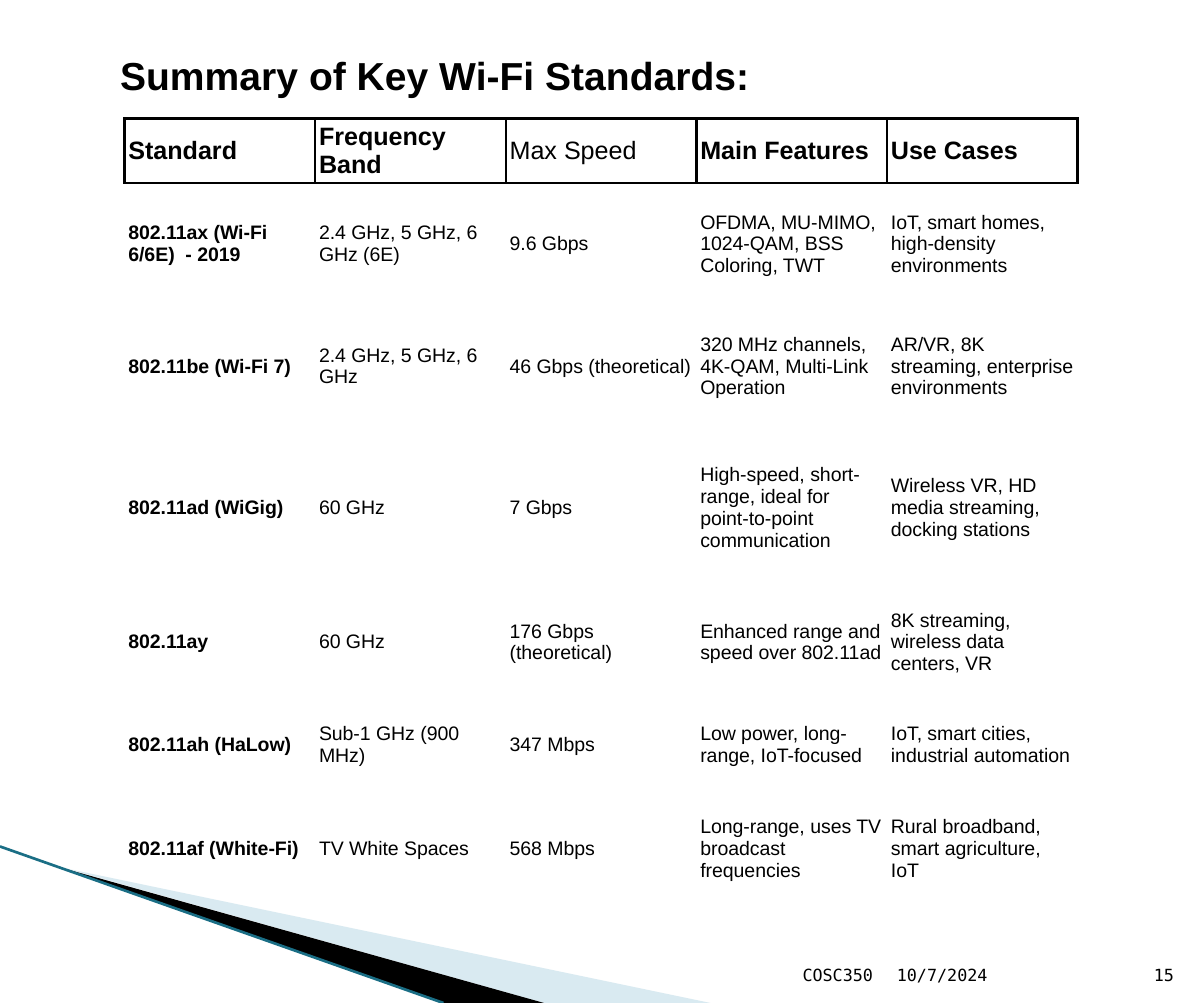
"""Builds the slide that summarises the key Wi-Fi standards."""
from dataclasses import dataclass

from lxml import etree
from pptx import Presentation
from pptx.dml.color import RGBColor
from pptx.enum.shapes import MSO_CONNECTOR
from pptx.enum.text import MSO_ANCHOR, PP_ALIGN
from pptx.oxml.ns import qn
from pptx.util import Inches, Pt

STRAIGHT = MSO_CONNECTOR.STRAIGHT
MIDDLE, BOTTOM = MSO_ANCHOR.MIDDLE, MSO_ANCHOR.BOTTOM
LEFT, RIGHT = PP_ALIGN.LEFT, PP_ALIGN.RIGHT


@dataclass(frozen=True)
class Theme:
    ink: str = "000000"
    pale: str = "A0CBDC"
    teal: str = "1A6E85"
    sans: str = "Arial"
    mono: str = "DejaVu Sans Mono"
    title: float = 14
    header: float = 9
    body: float = 7
    footer: float = 6
    rule: float = 1
    stripe: float = 0.95


class Deck:
    """Draws on a slide divided into 60 columns and 50 rows."""

    COLUMNS, ROWS = 60, 50

    def __init__(self, theme):
        self.theme = theme
        self.file = Presentation()
        self.file.slide_width, self.file.slide_height = Inches(6), Inches(5)
        self.slide = self.file.slides.add_slide(self.file.slide_layouts[6])
        self.shapes = self.slide.shapes

    def x(self, columns):
        return round(self.file.slide_width * columns / self.COLUMNS)

    def y(self, rows):
        return round(self.file.slide_height * rows / self.ROWS)

    def style(self, paragraph, size, font, bold=False, align=LEFT):
        paragraph.alignment = align
        for run in paragraph.runs:
            run.font.size, run.font.name, run.font.bold = Pt(size), font, bold
            run.font.color.rgb = RGBColor.from_string(self.theme.ink)

    def text(self, wording, left, top, width, height, size, font,
             bold=False, align=LEFT, anchor=MIDDLE, inset=(1, 0.5)):
        frame = self.shapes.add_textbox(
            self.x(left), self.y(top), self.x(width), self.y(height)).text_frame
        frame.word_wrap, frame.vertical_anchor = True, anchor
        frame.margin_left = frame.margin_right = self.x(inset[0])
        frame.margin_top = frame.margin_bottom = self.y(inset[1])
        frame.text = wording
        self.style(frame.paragraphs[0], size, font, bold, align)

    def wedge(self, corners, color, opacity=100):
        start, *others = [(self.x(col), self.y(row)) for col, row in corners]
        builder = self.shapes.build_freeform(*start)
        builder.add_line_segments(others, close=True)
        wedge = builder.convert_to_shape()
        wedge.shadow.inherit = False
        wedge.line.fill.background()
        wedge.fill.solid()
        wedge.fill.fore_color.rgb = RGBColor.from_string(color)
        if opacity < 100:
            tint = wedge.fill._xPr.find(f".//{qn('a:srgbClr')}")
            etree.SubElement(tint, qn("a:alpha"), val=str(opacity * 1000))

    def stripe(self, start, end, color, width):
        stripe = self.shapes.add_connector(
            STRAIGHT, self.x(start[0]), self.y(start[1]),
            self.x(end[0]), self.y(end[1]))
        stripe.line.color.rgb = RGBColor.from_string(color)
        stripe.line.width = Pt(width)
        etree.SubElement(stripe._element.spPr, qn("a:effectLst"))

    def borders(self, cell, ruled):
        properties = cell._tc.get_or_add_tcPr()
        for place, side in enumerate("LRTB"):
            edge = etree.Element(qn(f"a:ln{side}"), w=str(Pt(self.theme.rule)))
            if side in ruled:
                fill = etree.SubElement(edge, qn("a:solidFill"))
                etree.SubElement(fill, qn("a:srgbClr"), val=self.theme.ink)
            else:
                etree.SubElement(edge, qn("a:noFill"))
            properties.insert(place, edge)

    def cell(self, cell, wording, size, bold, ruled):
        cell.fill.background()
        cell.vertical_anchor = MIDDLE
        cell.margin_left = cell.margin_right = self.x(0.2)
        cell.margin_top = cell.margin_bottom = self.y(0.1)
        cell.text = wording
        self.style(cell.text_frame.paragraphs[0], size, self.theme.sans, bold)
        self.borders(cell, ruled)

    def table(self, records, left, top, column, heights):
        count = len(records[0])
        table = self.shapes.add_table(
            len(records), count, self.x(left), self.y(top),
            self.x(column * count), self.y(sum(heights))).table
        table.first_row = table.horz_banding = False
        for grid_column in table.columns:
            grid_column.width = self.x(column)
        for r, (record, height) in enumerate(zip(records, heights)):
            table.rows[r].height = self.y(height)
            size = self.theme.body if r else self.theme.header
            ruled = {0: "LRTB", 1: "T"}.get(r, "")
            for c, wording in enumerate(record):
                bold = c == 0 or (r == 0 and wording != "Max Speed")
                self.cell(table.cell(r, c), wording, size, bold, ruled)


STANDARDS = [
    ("Standard", "Frequency Band", "Max Speed", "Main Features", "Use Cases"),
    ("802.11ax (Wi-Fi 6/6E)  - 2019", "2.4 GHz, 5 GHz, 6 GHz (6E)", "9.6 Gbps",
     "OFDMA, MU-MIMO, 1024-QAM, BSS Coloring, TWT",
     "IoT, smart homes, high-density environments"),
    ("802.11be (Wi-Fi 7)", "2.4 GHz, 5 GHz, 6 GHz", "46 Gbps (theoretical)",
     "320 MHz channels, 4K-QAM, Multi-Link Operation",
     "AR/VR, 8K streaming, enterprise environments"),
    ("802.11ad (WiGig)", "60 GHz", "7 Gbps",
     "High-speed, short-range, ideal for point-to-point communication",
     "Wireless VR, HD media streaming, docking stations"),
    ("802.11ay", "60 GHz", "176 Gbps (theoretical)",
     "Enhanced range and speed over 802.11ad",
     "8K streaming, wireless data centers, VR"),
    ("802.11ah (HaLow)", "Sub-1 GHz (900 MHz)", "347 Mbps",
     "Low power, long-range, IoT-focused",
     "IoT, smart cities, industrial automation"),
    ("802.11af (White-Fi)", "TV White Spaces", "568 Mbps",
     "Long-range, uses TV broadcast frequencies",
     "Rural broadband, smart agriculture, IoT"),
]
HEIGHTS = [3, 6.1, 6.1, 8, 5.4, 4.8, 5.6]
FOOTER = [
    ("10/7/2024", 44.1, 12.6, LEFT),
    ("COSC350", 28.7, 15.4, RIGHT),
    ("15", 56.7, 2.4, RIGHT),
]


def main():
    theme = Theme()
    deck = Deck(theme)
    deck.wedge([(3.3, 43.3), (35.4, 50), (27.1, 50)], theme.pale, opacity=40)
    deck.wedge([(3.2, 43.3), (27.1, 50), (22.1, 50)], theme.ink)
    deck.stripe((0, 42.2), (22.1, 50), theme.teal, theme.stripe)
    for wording, left, width, align in FOOTER:
        deck.text(wording, left, 46.7, width, 2.7, theme.footer, theme.mono,
                  align=align, anchor=BOTTOM, inset=(0.6, 0.3))
    deck.table(STANDARDS, 6.2, 5.9, 9.5, HEIGHTS)
    deck.text("Summary of Key Wi-Fi Standards:", 5, 1.9, 48.8, 3.7,
              theme.title, theme.sans, bold=True)
    deck.file.save("out.pptx")


if __name__ == "__main__":
    main()
